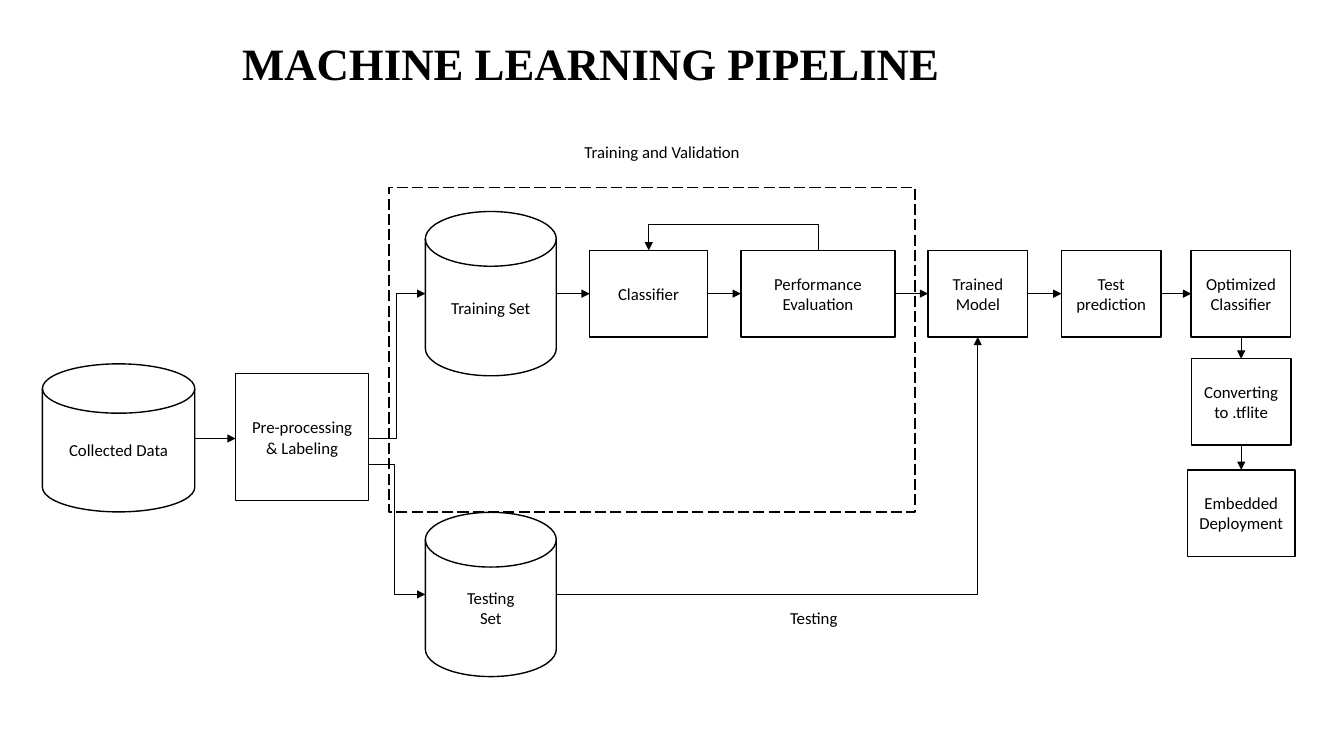
from lxml import etree
from pptx import Presentation
from pptx.dml.color import RGBColor
from pptx.enum.dml import MSO_LINE
from pptx.enum.shapes import MSO_CONNECTOR, MSO_SHAPE
from pptx.enum.text import MSO_ANCHOR, MSO_AUTO_SIZE, PP_ALIGN
from pptx.oxml.ns import qn
from pptx.util import Cm, Pt

COLORS = {"ink": "000000", "paper": "FFFFFF"}
BODY_FONT = "Calibri"
TITLE_FONT = "Times New Roman"
RECTANGLE = MSO_SHAPE.RECTANGLE
DISK = MSO_SHAPE.FLOWCHART_MAGNETIC_DISK
STRAIGHT = MSO_CONNECTOR.STRAIGHT
ELBOW = MSO_CONNECTOR.ELBOW
LONG_DASH = MSO_LINE.LONG_DASH
CENTER = PP_ALIGN.CENTER
LEFT = PP_ALIGN.LEFT
MIDDLE = MSO_ANCHOR.MIDDLE
TOP = MSO_ANCHOR.TOP
GROW = MSO_AUTO_SIZE.SHAPE_TO_FIT_TEXT

ROW_MIDDLE = 7.4
BOX_HEIGHT = 2.18
ROW_TOP = ROW_MIDDLE - BOX_HEIGHT / 2
ROW_BOTTOM = ROW_MIDDLE + BOX_HEIGHT / 2
DATA_MIDDLE = 11.05
TESTING_MIDDLE = 14.98
DISK_LEFT, DISK_WIDTH, DISK_HEIGHT = 10.72, 3.3, 4.14
COLUMN_MIDDLE = 31.28

ROW_BOXES = [
    ("Classifier", 14.86, 2.97),
    ("Performance Evaluation", 18.67, 3.89),
    ("Trained Model", 23.39, 2.51),
    ("Test prediction", 26.75, 2.51),
    ("Optimized Classifier", 30.02, 2.51),
]
COLUMN_BOXES = [
    ("Converting to .tflite", 9.04, 2.51),
    ("Embedded Deployment", 11.84, 2.72),
]


def color(name):
    return RGBColor.from_string(COLORS[name])


def write(text_frame, lines, size=12, font=BODY_FONT, bold=False, align=CENTER):
    text_frame.word_wrap = True
    for index, line in enumerate(lines):
        paragraph = text_frame.paragraphs[0] if index == 0 else text_frame.add_paragraph()
        paragraph.alignment = align
        run = paragraph.add_run()
        run.text = line
        run.font.size = Pt(size)
        run.font.name = font
        run.font.bold = bold
        run.font.color.rgb = color("ink")


def add_outline(slide, kind, left, top, width, height, line="ink", weight=1):
    shape = slide.shapes.add_shape(kind, Cm(left), Cm(top), Cm(width), Cm(height))
    shape.shadow.inherit = False
    shape.fill.background()
    shape.line.color.rgb = color(line)
    shape.line.width = Pt(weight)
    return shape


def add_node(slide, kind, left, top, width, height, *lines):
    shape = add_outline(slide, kind, left, top, width, height)
    shape.text_frame.vertical_anchor = MIDDLE
    write(shape.text_frame, lines)


def add_label(slide, left, top, width, text):
    shape = add_outline(slide, RECTANGLE, left, top, width, 0.78, "paper", 0.75)
    shape.text_frame.vertical_anchor = TOP
    shape.text_frame.auto_size = GROW
    write(shape.text_frame, [text], align=LEFT)


def add_title(slide, text):
    box = slide.shapes.add_textbox(Cm(5.77), Cm(0.56), Cm(21.74), Cm(2.11))
    frame = box.text_frame
    frame.margin_left = frame.margin_right = Cm(0.33)
    frame.margin_top = frame.margin_bottom = Cm(0.33)
    write(frame, [text], size=32, font=TITLE_FONT, bold=True, align=LEFT)


def style_arrow(shape):
    shape.line.color.rgb = color("ink")
    shape.line.width = Pt(0.75)
    etree.SubElement(shape.line._get_or_add_ln(), qn("a:tailEnd"), type="triangle")


def add_arrow(slide, start, end, kind=STRAIGHT):
    points = [Cm(value) for value in (*start, *end)]
    connector = slide.shapes.add_connector(kind, *points)
    style_arrow(connector)
    etree.SubElement(connector._element.spPr, qn("a:effectLst"))
    return connector


def add_step_arrow(slide, start, end, bend):
    connector = add_arrow(slide, start, end, ELBOW)
    adjustments = connector._element.spPr.find(qn("a:prstGeom")).find(qn("a:avLst"))
    ratio = round((bend - start[0]) / (end[0] - start[0]) * 100000)
    etree.SubElement(adjustments, qn("a:gd"), name="adj1", fmla=f"val {ratio}")


def add_corner_arrow(slide, start, end):
    connector = add_arrow(slide, start, end, ELBOW)
    connector._element.spPr.find(qn("a:prstGeom")).set("prst", "bentConnector2")


def add_loop_arrow(slide, start_x, end_x, base, peak):
    builder = slide.shapes.build_freeform(Cm(start_x), Cm(base))
    corners = [(start_x, peak), (end_x, peak), (end_x, base)]
    builder.add_line_segments([(Cm(x), Cm(y)) for x, y in corners], close=False)
    shape = builder.convert_to_shape()
    shape.shadow.inherit = False
    shape.fill.background()
    style_arrow(shape)


def add_data_preparation(slide):
    add_node(slide, DISK, 1.07, 9.17, 3.84, 3.73, "Collected Data")
    add_node(slide, RECTANGLE, 5.94, 9.42, 3.35, 3.2, "Pre-processing & Labeling")
    for middle, lines in ((ROW_MIDDLE, ["Training Set"]), (TESTING_MIDDLE, ["Testing", "Set"])):
        add_node(slide, DISK, DISK_LEFT, middle - DISK_HEIGHT / 2, DISK_WIDTH, DISK_HEIGHT, *lines)
    add_arrow(slide, (4.91, DATA_MIDDLE), (5.94, DATA_MIDDLE))
    add_step_arrow(slide, (9.29, DATA_MIDDLE), (DISK_LEFT, ROW_MIDDLE), 10)
    add_step_arrow(slide, (9.29, 11.71), (DISK_LEFT, TESTING_MIDDLE), 9.95)


def add_model_row(slide):
    previous_right = DISK_LEFT + DISK_WIDTH
    for text, left, width in ROW_BOXES:
        add_node(slide, RECTANGLE, left, ROW_TOP, width, BOX_HEIGHT, text)
        add_arrow(slide, (previous_right, ROW_MIDDLE), (left, ROW_MIDDLE))
        previous_right = left + width
    add_loop_arrow(slide, 20.62, 16.35, ROW_TOP, 5.67)


def add_deployment_column(slide):
    previous_bottom = ROW_BOTTOM
    for text, top, width in COLUMN_BOXES:
        add_node(slide, RECTANGLE, COLUMN_MIDDLE - width / 2, top, width, BOX_HEIGHT, text)
        add_arrow(slide, (COLUMN_MIDDLE, previous_bottom), (COLUMN_MIDDLE, top))
        previous_bottom = top + BOX_HEIGHT


def main():
    presentation = Presentation()
    presentation.slide_width = Cm(33.87)
    presentation.slide_height = Cm(19.05)
    slide = presentation.slides.add_slide(presentation.slide_layouts[6])
    add_data_preparation(slide)
    add_model_row(slide)
    add_deployment_column(slide)
    stage = add_outline(slide, RECTANGLE, 9.8, 4.72, 13.26, 8.18)
    stage.line.dash_style = LONG_DASH
    add_corner_arrow(slide, (DISK_LEFT + DISK_WIDTH, TESTING_MIDDLE), (24.64, ROW_BOTTOM))
    add_label(slide, 14.48, 3.45, 6.7, "Training and Validation")
    add_label(slide, 19.66, 15.19, 2.9, "Testing")
    add_title(slide, "MACHINE LEARNING PIPELINE")
    presentation.save("out.pptx")


if __name__ == "__main__":
    main()
